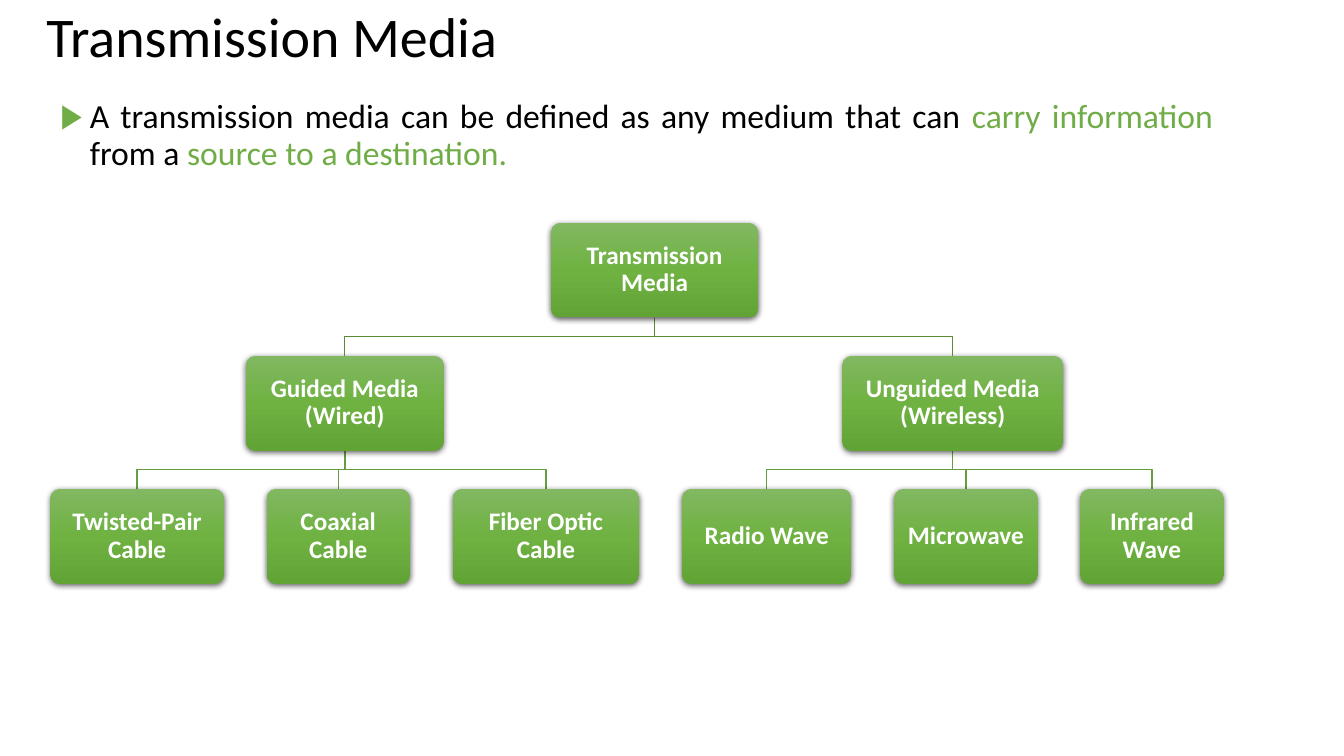
from lxml.etree import SubElement
from pptx import Presentation
from pptx.dml.color import RGBColor
from pptx.enum.shapes import MSO_SHAPE
from pptx.enum.text import MSO_ANCHOR, MSO_AUTO_SIZE, PP_ALIGN
from pptx.oxml import parse_xml
from pptx.oxml.ns import nsdecls, qn
from pptx.util import Inches, Pt

BLACK = RGBColor(0x00, 0x00, 0x00)
WHITE = RGBColor(0xFF, 0xFF, 0xFF)
GREEN = RGBColor(0x70, 0xAD, 0x47)
UPPER_LINE = RGBColor(0x5A, 0x8B, 0x39)
LOWER_LINE = RGBColor(0x66, 0x9D, 0x40)
BOX_GRADIENT = [
    (0, RGBColor(0x81, 0xB8, 0x61)),
    (50, RGBColor(0x6F, 0xB2, 0x42)),
    (100, RGBColor(0x62, 0xA3, 0x36)),
]

FONT = "Calibri"
TITLE = "Transmission Media"
DEFINITION = [
    ("A transmission media can be defined as any medium that can ", BLACK),
    ("carry information ", GREEN),
    ("from a ", BLACK),
    ("source to a destination.", GREEN),
]
ROOT = ("Transmission Media", 2.05)
BRANCHES = [
    ("Guided Media (Wired)", 1.96,
     [("Twisted-Pair Cable", 1.72), ("Coaxial Cable", 1.42), ("Fiber Optic Cable", 1.85)]),
    ("Unguided Media (Wireless)", 2.19,
     [("Radio Wave", 1.68), ("Microwave", 1.42), ("Infrared Wave", 1.42)]),
]

TREE_LEFT, TREE_TOP = 0.5, 2.21
BOX_HEIGHT, LEVEL_STEP, LEAF_GAP = 0.94, 1.32, 0.425
LEVEL_TOPS = [TREE_TOP + level * LEVEL_STEP for level in range(3)]


def place(shape, left, top, width, height):
    """Move and size a shape in inches."""
    shape.left, shape.top = Inches(left), Inches(top)
    shape.width, shape.height = Inches(width), Inches(height)


def format_run(run, size, color, bold=False):
    """Give a run its font, size and colour."""
    run.font.name, run.font.size, run.font.bold = FONT, Pt(size), bold
    run.font.color.rgb = color


def add_title(slide):
    """Fill the title placeholder."""
    title = slide.shapes.title
    place(title, 0.36, 0, 11.89, 0.78)
    frame = title.text_frame
    frame.text = TITLE
    frame.auto_size = MSO_AUTO_SIZE.NONE
    frame.vertical_anchor = MSO_ANCHOR.MIDDLE
    paragraph = frame.paragraphs[0]
    paragraph.alignment, paragraph.line_spacing = PP_ALIGN.LEFT, 0.9
    format_run(paragraph.runs[0], 40, BLACK)


def add_definition(slide):
    """Fill the body placeholder with the bulleted definition."""
    body = slide.placeholders[1]
    place(body, 0.5, 0.94, 11.63, 6.11)
    body.text_frame.auto_size = MSO_AUTO_SIZE.NONE
    paragraph = body.text_frame.paragraphs[0]
    paragraph.alignment, paragraph.line_spacing = PP_ALIGN.JUSTIFY, 0.9
    paragraph.space_before = Pt(0)
    for text, color in DEFINITION:
        run = paragraph.add_run()
        run.text = text
        format_run(run, 24, color)
    properties = paragraph.runs[0].font._element.getparent().getparent().get_or_add_pPr()
    properties.set("marL", str(Inches(0.29)))
    properties.set("indent", str(Inches(-0.29)))
    bullet_color = SubElement(properties, qn("a:buClr"))
    SubElement(bullet_color, qn("a:srgbClr"), val=str(GREEN))
    SubElement(properties, qn("a:buChar"), char="▶")


def add_box(slide, label, center, width, top):
    """Add a shaded rounded box with a centred label."""
    box = slide.shapes.add_shape(
        MSO_SHAPE.ROUNDED_RECTANGLE, Inches(center - width / 2), Inches(top),
        Inches(width), Inches(BOX_HEIGHT))
    box.adjustments[0] = 0.1
    stops = "".join(
        f'<a:gs pos="{position * 1000}"><a:srgbClr val="{color}"/></a:gs>'
        for position, color in BOX_GRADIENT)
    properties = box._element.spPr
    properties.append(parse_xml(
        f'<a:gradFill {nsdecls("a")} rotWithShape="1"><a:gsLst>{stops}</a:gsLst>'
        '<a:lin ang="5400000" scaled="0"/></a:gradFill>'))
    box.line.fill.background()
    properties.append(parse_xml(
        f'<a:effectLst {nsdecls("a")}><a:outerShdw blurRad="{Pt(4.5)}" dist="{Pt(1.5)}" '
        'dir="5400000" algn="ctr" rotWithShape="0"><a:srgbClr val="000000">'
        '<a:alpha val="63000"/></a:srgbClr></a:outerShdw></a:effectLst>'))
    frame = box.text_frame
    frame.text = label
    frame.word_wrap = True
    frame.vertical_anchor = MSO_ANCHOR.MIDDLE
    frame.margin_left = frame.margin_right = Inches(0.1)
    frame.margin_top = frame.margin_bottom = Inches(0.1)
    paragraph = frame.paragraphs[0]
    paragraph.alignment, paragraph.line_spacing = PP_ALIGN.CENTER, 0.9
    format_run(paragraph.runs[0], 18, WHITE, bold=True)


def add_link(slide, parent_center, child_center, level, color):
    """Draw the elbow line from a box down to one on the next level."""
    start = LEVEL_TOPS[level] + BOX_HEIGHT
    end = LEVEL_TOPS[level + 1]
    middle = (start + end) / 2
    builder = slide.shapes.build_freeform(Inches(parent_center), Inches(start), scale=1.0)
    corners = [(parent_center, middle), (child_center, middle), (child_center, end)]
    builder.add_line_segments([(Inches(x), Inches(y)) for x, y in corners], close=False)
    link = builder.convert_to_shape()
    link.fill.background()
    link.line.color.rgb, link.line.width = color, Pt(1)
    link.shadow.inherit = False


def add_tree(slide):
    """Lay out leaves left to right and centre each parent over its children."""
    left = TREE_LEFT
    branch_spans = []
    for label, width, leaves in BRANCHES:
        leaf_centers = []
        first_left = left
        for _, leaf_width in leaves:
            leaf_centers.append(left + leaf_width / 2)
            left += leaf_width + LEAF_GAP
        center = (first_left + left - LEAF_GAP) / 2
        branch_spans.append((center, width))
        for (leaf_label, leaf_width), leaf_center in zip(leaves, leaf_centers):
            add_link(slide, center, leaf_center, 1, LOWER_LINE)
            add_box(slide, leaf_label, leaf_center, leaf_width, LEVEL_TOPS[2])
        add_box(slide, label, center, width, LEVEL_TOPS[1])
    (first_center, first_width), (last_center, last_width) = branch_spans
    root_center = (first_center - first_width / 2 + last_center + last_width / 2) / 2
    for center, _ in branch_spans:
        add_link(slide, root_center, center, 0, UPPER_LINE)
    add_box(slide, ROOT[0], root_center, ROOT[1], LEVEL_TOPS[0])


def main():
    """Build the slide and save it."""
    presentation = Presentation()
    presentation.slide_width, presentation.slide_height = Inches(13.33), Inches(7.5)
    slide = presentation.slides.add_slide(presentation.slide_layouts[1])
    add_title(slide)
    add_definition(slide)
    add_tree(slide)
    presentation.save("out.pptx")


if __name__ == "__main__":
    main()
